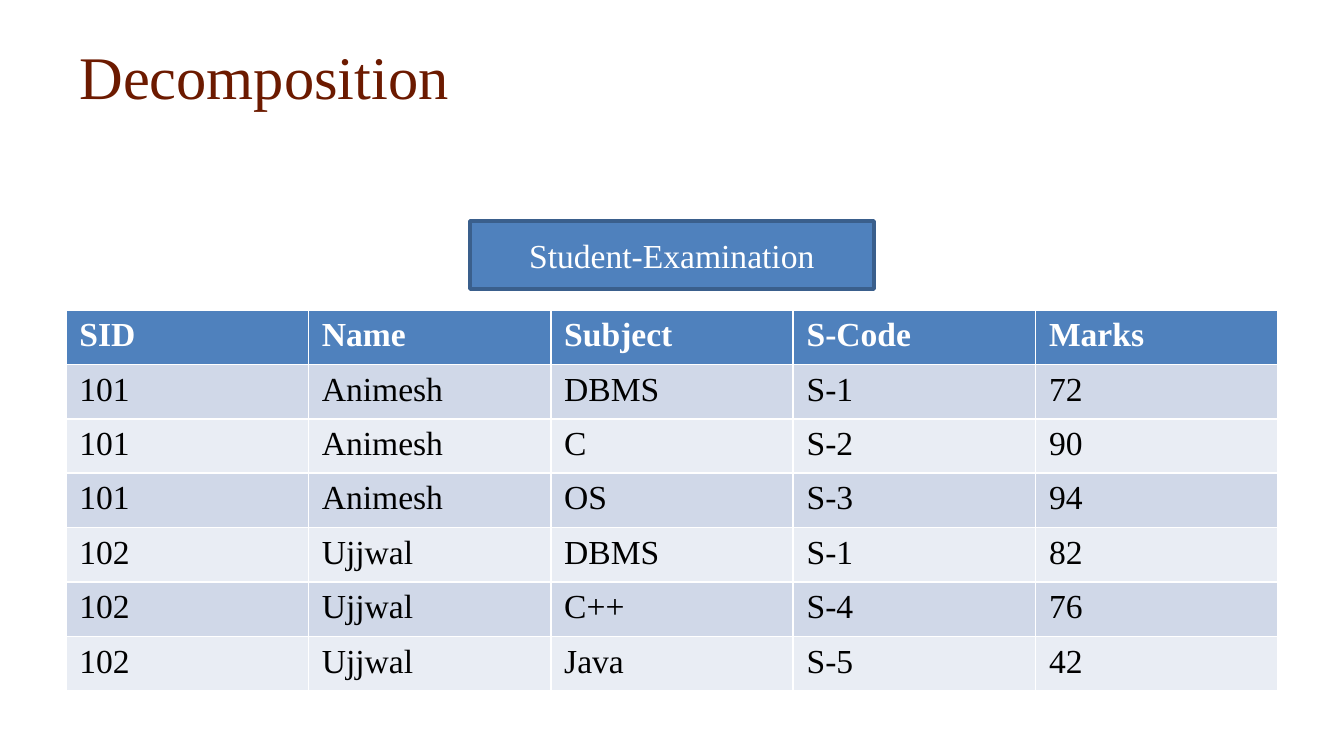
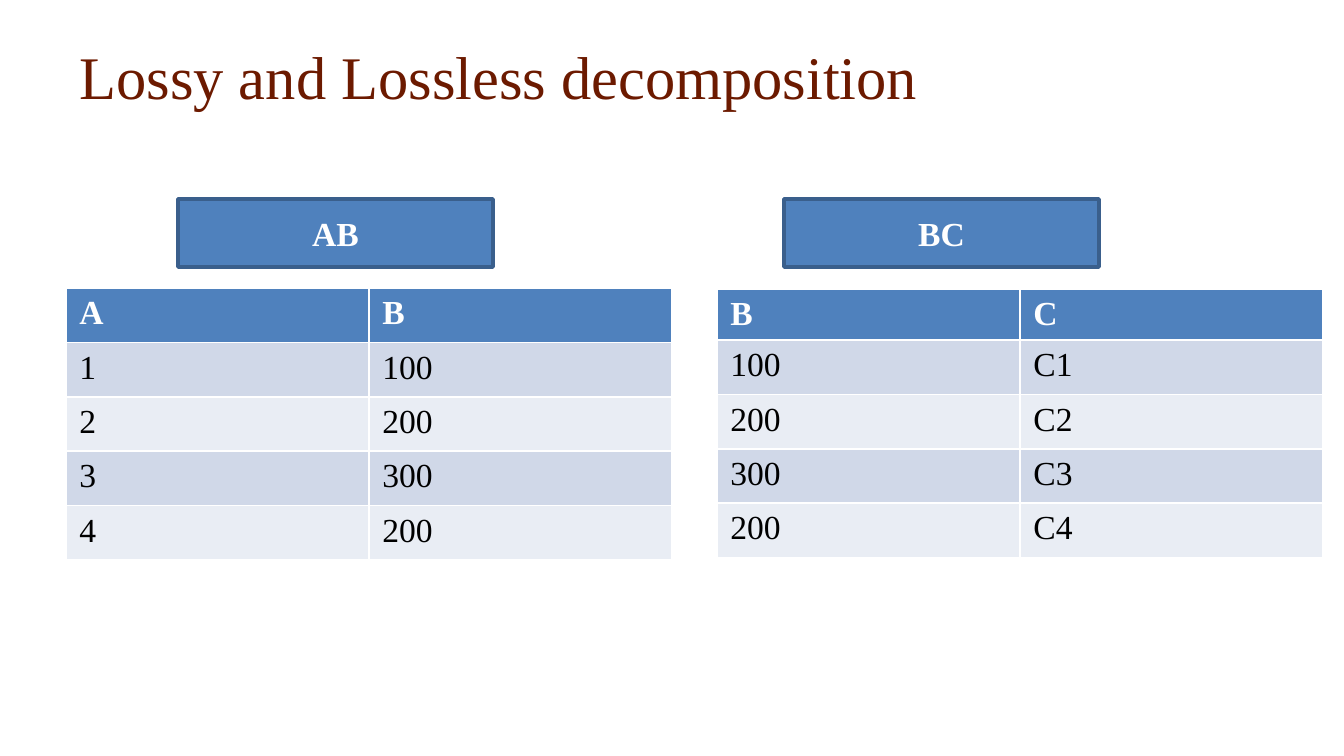
from pptx import Presentation
from pptx.dml.color import RGBColor
from pptx.enum.shapes import MSO_SHAPE
from pptx.enum.text import MSO_ANCHOR, MSO_AUTO_SIZE, PP_ALIGN
from pptx.util import Emu, Pt

# Shared look
FONT = "Times New Roman"
WHITE, BLACK, BROWN = "FFFFFF", "000000", "6C1A00"
BLUE, EDGE = "4F81BD", "3A5F8C"
BANDS = ("D0D8E8", "E9EDF4")
WIDE, HIGH = 1344, 756
LEFT = 66
TEXT = 18

# Slide content
MARKS = [
    ("SID", "Name", "Subject", "S-Code", "Marks"),
    ("101", "Animesh", "DBMS", "S-1", "72"),
    ("101", "Animesh", "C", "S-2", "90"),
    ("101", "Animesh", "OS", "S-3", "94"),
    ("102", "Ujjwal", "DBMS", "S-1", "82"),
    ("102", "Ujjwal", "C++", "S-4", "76"),
    ("102", "Ujjwal", "Java", "S-5", "42"),
]
AB = [("A", "B"), ("1", "100"), ("2", "200"), ("3", "300"), ("4", "200")]
BC = [("B", "C"), ("100", "C1"), ("200", "C2"), ("300", "C3"), ("200", "C4")]


def px(n):
    return Emu(round(n * 9144000 / WIDE))


def color(code):
    return RGBColor.from_string(code)


def paint(item, code):
    item.fill.solid()
    item.fill.fore_color.rgb = color(code)


def write(frame, text, size, code, bold=False, align=PP_ALIGN.LEFT):
    para = frame.paragraphs[0]
    para.alignment = align
    run = para.add_run()
    run.text = text
    font = run.font
    font.name, font.size, font.bold = FONT, Pt(size), bold
    font.color.rgb = color(code)


def add_slide(deck, text):
    """Add a slide with its title at the top left."""
    slide = deck.slides.add_slide(deck.slide_layouts[5])
    title = slide.shapes.title
    title.left, title.top = px(LEFT), px(19)
    title.width, title.height = px(1212), px(113)
    frame = title.text_frame
    frame.word_wrap = True
    frame.auto_size = MSO_AUTO_SIZE.NONE
    frame.vertical_anchor = MSO_ANCHOR.MIDDLE
    write(frame, text, 32.4, BROWN)
    return slide


def add_label(slide, text, x, y, w, bold=False):
    """Add the box that names a table."""
    box = slide.shapes.add_shape(MSO_SHAPE.RECTANGLE, px(x), px(y), px(w), px(68))
    box.shadow.inherit = False
    paint(box, BLUE)
    box.line.color.rgb = color(EDGE)
    box.line.width = Pt(2)
    box.text_frame.word_wrap = True
    box.text_frame.vertical_anchor = MSO_ANCHOR.MIDDLE
    write(box.text_frame, text, TEXT, WHITE, bold, PP_ALIGN.CENTER)


def add_grid(slide, data, x, y, w, h):
    """Add a table with a blue header and banded rows."""
    grid = slide.shapes.add_table(
        len(data), len(data[0]), px(x), px(y), px(w), px(h)).table
    for r, row in enumerate(data):
        head = r == 0
        for c, text in enumerate(row):
            cell = grid.cell(r, c)
            paint(cell, BLUE if head else BANDS[(r - 1) % 2])
            write(cell.text_frame, text, TEXT, WHITE if head else BLACK, head)
    return grid


def main():
    deck = Presentation()
    deck.slide_width, deck.slide_height = px(WIDE), px(HIGH)

    # Slide 1: the full table
    slide = add_slide(deck, "Decomposition")
    add_grid(slide, MARKS, LEFT, 310, 1212, 381)
    add_label(slide, "Student-Examination", 470, 221, 404)

    # Slide 2: the two parts side by side
    slide = add_slide(deck, "Lossy and Lossless decomposition")
    add_grid(slide, AB, LEFT, 288, 606, 272)
    for text, x in (("AB", 178), ("BC", 784)):
        add_label(slide, text, x, 199, 315, bold=True)
    grid = add_grid(slide, BC, 717, 289, 606, 272)
    grid.rows[0].height = px(51)

    deck.save("out.pptx")


if __name__ == "__main__":
    main()
